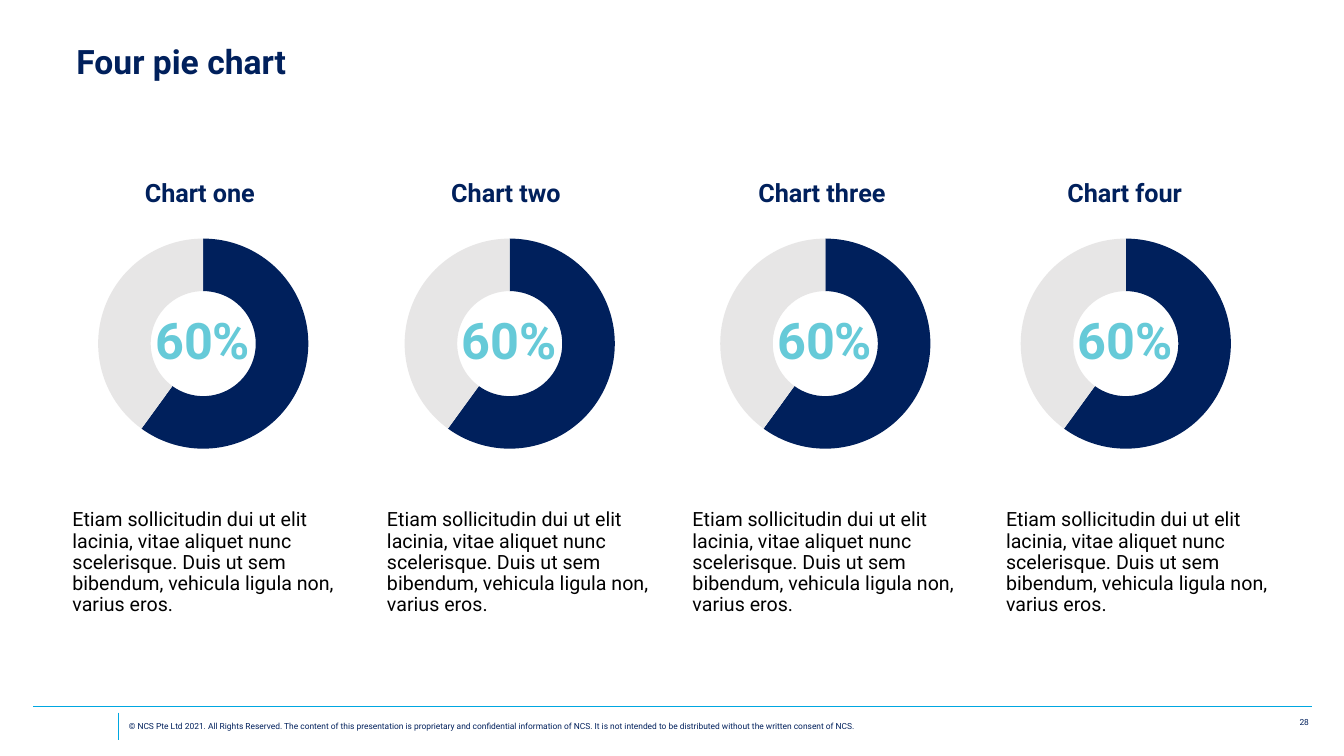
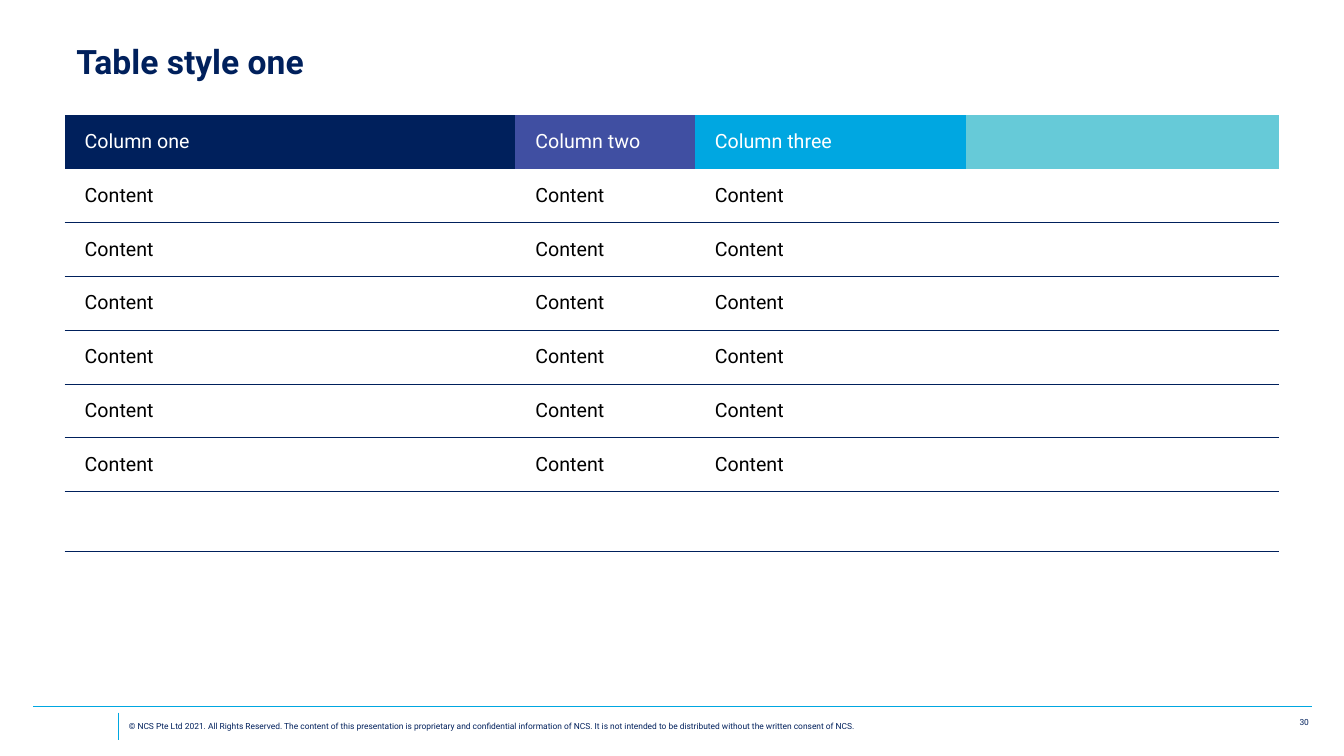
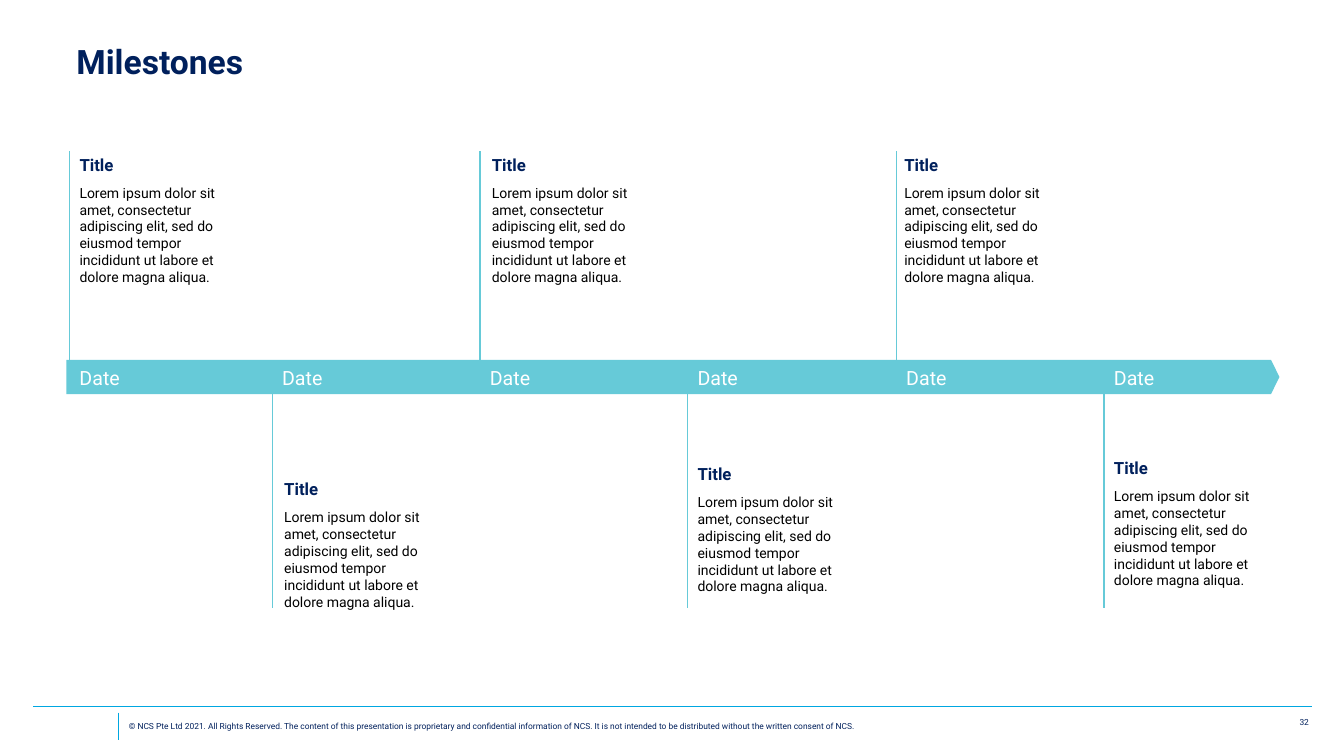
from dataclasses import dataclass
from typing import Any, NamedTuple

from lxml.etree import SubElement
from pptx import Presentation
from pptx.chart.data import CategoryChartData
from pptx.dml.color import RGBColor
from pptx.enum.chart import XL_CHART_TYPE
from pptx.enum.shapes import MSO_CONNECTOR, MSO_SHAPE
from pptx.enum.text import MSO_ANCHOR, PP_ALIGN
from pptx.oxml import parse_xml
from pptx.oxml.ns import nsdecls, qn
from pptx.util import Emu, Pt

PX = 9144


class Style(NamedTuple):
    size: int
    color: str
    bold: bool = False


@dataclass(frozen=True)
class Theme:
    font: str = "Roboto"
    chart_font: str = "Calibri"
    navy: str = "00205C"
    indigo: str = "404FA2"
    blue: str = "00A7E1"
    teal: str = "66CAD8"
    gray: str = "E7E6E6"
    title: Style = Style(24, "00205C", True)
    heading: Style = Style(18, "00205C", True)
    figure: Style = Style(36, "66CAD8", True)
    body: Style = Style(14, "000000")
    inverse: Style = Style(14, "FFFFFF")
    label: Style = Style(12, "00205C", True)
    small: Style = Style(10, "000000")
    footer: Style = Style(6, "00205C")


class Box(NamedTuple):
    x: int
    y: int
    w: int
    h: int

    def emu(self) -> list[Emu]:
        return [px(v) for v in self]


class Donut(NamedTuple):
    name: str
    x: int
    text_x: int
    title_x: float


class Column(NamedTuple):
    name: str
    width: int
    color: str


class Milestone(NamedTuple):
    line_x: int
    text_x: int
    title_y: int


T = Theme()
COPYRIGHT = (
    "© NCS Pte Ltd 2021. All Rights Reserved. The content of this presentation is proprietary "
    "and confidential information of NCS. It is not intended to be distributed without the "
    "written consent of NCS."
)
ETIAM = (
    "Etiam sollicitudin dui ut elit lacinia, vitae aliquet nunc scelerisque. "
    "Duis ut sem bibendum, vehicula ligula non, varius eros."
)
LOREM = (
    "Lorem ipsum dolor sit amet, consectetur adipiscing elit, sed do eiusmod tempor "
    "incididunt ut labore et dolore magna aliqua."
)
DONUTS = [
    Donut("Chart one", 64, 62, 0.27),
    Donut("Chart two", 368, 374, 0.27),
    Donut("Chart three", 681, 677, 0.24),
    Donut("Chart four", 979, 988, 0.27),
]
COLUMNS = [
    Column("Column one", 447, T.navy),
    Column("Column two", 178, T.indigo),
    Column("Column three", 269, T.blue),
    Column("", 311, T.teal),
]
CONTENT_ROWS = 6
MILESTONES = [
    Milestone(69, 69, 150),
    Milestone(270, 272, 472),
    Milestone(476, 478, 150),
    Milestone(682, 682, 457),
    Milestone(889, 887, 150),
    Milestone(1095, 1095, 451),
]


def px(n: int) -> Emu:
    return Emu(n * PX)


def rgb(color: str) -> RGBColor:
    return RGBColor.from_string(color)


def apply(target: Any, values: dict[str, Any]) -> None:
    for key, value in values.items():
        setattr(target, key, value)


def set_font(font: Any, style: Style, name: str = T.font) -> None:
    apply(font, {"name": name, "size": Pt(style.size), "bold": style.bold})
    font.color.rgb = rgb(style.color)


def fill_text(tf: Any, text: str, style: Style, **para: Any) -> None:
    p = tf.paragraphs[0]
    apply(p, para)
    r = p.add_run()
    r.text = text
    set_font(r.font, style)


def add_text(s: Any, box: Box, text: str, style: Style, wrap: bool = True,
             anchor: MSO_ANCHOR = MSO_ANCHOR.TOP, **para: Any) -> None:
    tf = s.shapes.add_textbox(*box.emu()).text_frame
    apply(tf, {"word_wrap": wrap, "vertical_anchor": anchor})
    fill_text(tf, text, style, **para)


def add_line(s: Any, x1: int, y1: int, x2: int, y2: int, color: str, width: float) -> None:
    ends = [px(v) for v in (x1, y1, x2, y2)]
    line = s.shapes.add_connector(MSO_CONNECTOR.STRAIGHT, *ends)
    line.line.color.rgb = rgb(color)
    line.line.width = Pt(width)
    SubElement(line._element.spPr, qn("a:effectLst"))


def add_slide(prs: Any, title: str, number: int) -> Any:
    s = prs.slides.add_slide(prs.slide_layouts[6])
    add_line(s, 33, 701, 1301, 701, T.blue, 0.75)
    add_line(s, 118, 707, 118, 734, T.blue, 0.75)
    add_text(s, Box(1109, 707, 199, 20), str(number), T.footer, alignment=PP_ALIGN.RIGHT)
    add_text(s, Box(118, 699, 936, 43), COPYRIGHT, T.footer, anchor=MSO_ANCHOR.MIDDLE)
    add_text(s, Box(66, 40, 1203, 88), title, T.title, line_spacing=0.9)
    return s


def set_layout(parent: Any, index: int, values: dict[str, Any]) -> None:
    for old in parent.findall(qn("c:layout")):
        parent.remove(old)
    layout = parse_xml(f"<c:layout {nsdecls('c')}><c:manualLayout/></c:layout>")
    for key, value in values.items():
        SubElement(layout[0], qn(f"c:{key}")).set("val", str(value))
    parent.insert(index, layout)


def add_donut(s: Any, donut: Donut) -> None:
    data = CategoryChartData()
    data.categories = ["1", "2", "3", "4"]
    data.add_series("Series 1", (60, 40, None, None))
    box = Box(donut.x, 99, 278, 444)
    chart = s.shapes.add_chart(XL_CHART_TYPE.DOUGHNUT, *box.emu(), data).chart
    set_font(chart.font, T.small, T.chart_font)
    apply(chart, {"has_legend": False, "has_title": True})
    fill_text(chart.chart_title.text_frame, donut.name, T.heading)
    edge = {"xMode": "edge", "yMode": "edge"}
    set_layout(chart.chart_title._element, 1, edge | {"x": donut.title_x, "y": 0.16})
    area = chart._chartSpace.chart.plotArea
    set_layout(area, 0, {"layoutTarget": "inner"} | edge
               | {"x": 0.12, "y": 0.31, "w": 0.75, "h": 0.47})
    area.find(".//" + qn("c:holeSize")).set("val", "77")
    for i, color in enumerate((T.navy, T.gray)):
        fmt = chart.plots[0].series[0].points[i].format
        fmt.fill.solid()
        fmt.fill.fore_color.rgb = rgb(color)
        fmt.line.fill.background()
    add_text(s, Box(donut.x + 75, 302, 124, 71), "60%", T.figure, wrap=False,
             alignment=PP_ALIGN.CENTER)
    add_text(s, Box(donut.text_x, 501, 283, 128), ETIAM, T.body, line_spacing=0.9)


def underline_cell(cell: Any) -> None:
    cell._tc.get_or_add_tcPr().insert(0, parse_xml(
        f'<a:lnB {nsdecls("a")} w="{Pt(0.75)}"><a:solidFill>'
        f'<a:srgbClr val="{T.navy}"/></a:solidFill></a:lnB>'))


def add_content_table(s: Any) -> None:
    heights = [53] * (CONTENT_ROWS + 1) + [59]
    box = Box(64, 114, sum(c.width for c in COLUMNS), sum(heights))
    table = s.shapes.add_table(len(heights), len(COLUMNS), *box.emu()).table
    apply(table, {"first_row": False, "horz_banding": False})
    style_id = table._tbl.tblPr.find(qn("a:tableStyleId"))
    style_id.text = "{2D5ABB26-0587-4C30-8999-92F81FD0307C}"
    margins = {"margin_left": px(20), "margin_right": px(20),
               "margin_top": px(15), "margin_bottom": px(15)}
    for row, height in zip(table.rows, heights):
        row.height = px(height)
    for j, column in enumerate(COLUMNS):
        table.columns[j].width = px(column.width)
        for i in range(len(heights)):
            cell = table.cell(i, j)
            if i == 0:
                cell.fill.solid()
                cell.fill.fore_color.rgb = rgb(column.color)
            else:
                cell.fill.background()
                underline_cell(cell)
            if column.name and i <= CONTENT_ROWS:
                apply(cell, margins | {"vertical_anchor": MSO_ANCHOR.MIDDLE})
                fill_text(cell.text_frame, "Content" if i else column.name,
                          T.body if i else T.inverse)


def add_band(s: Any) -> None:
    band = s.shapes.add_shape(MSO_SHAPE.PENTAGON, *Box(66, 357, 1203, 34).emu())
    band.adjustments[0] = 0.245
    band.shadow.inherit = False
    band.fill.solid()
    band.fill.fore_color.rgb = rgb(T.teal)
    band.line.fill.background()


def add_milestone(s: Any, m: Milestone) -> None:
    top = 150 if m.title_y < 357 else 389
    add_line(s, m.line_x, top, m.line_x, top + 214, T.teal, 1)
    add_text(s, Box(m.text_x, m.title_y, 181, 28), "Title", T.label, anchor=MSO_ANCHOR.BOTTOM)
    add_text(s, Box(m.text_x, m.title_y + 28, 181, 123), LOREM, T.small)
    add_text(s, Box(m.line_x, 358, 174, 34), "Date", T.inverse)


def main() -> None:
    prs = Presentation()
    apply(prs, {"slide_width": px(1333), "slide_height": px(750)})
    s = add_slide(prs, "Four pie chart", 28)
    for donut in DONUTS:
        add_donut(s, donut)
    add_content_table(add_slide(prs, "Table style one", 30))
    s = add_slide(prs, "Milestones", 32)
    add_band(s)
    for milestone in MILESTONES:
        add_milestone(s, milestone)
    prs.save("out.pptx")


if __name__ == "__main__":
    main()
